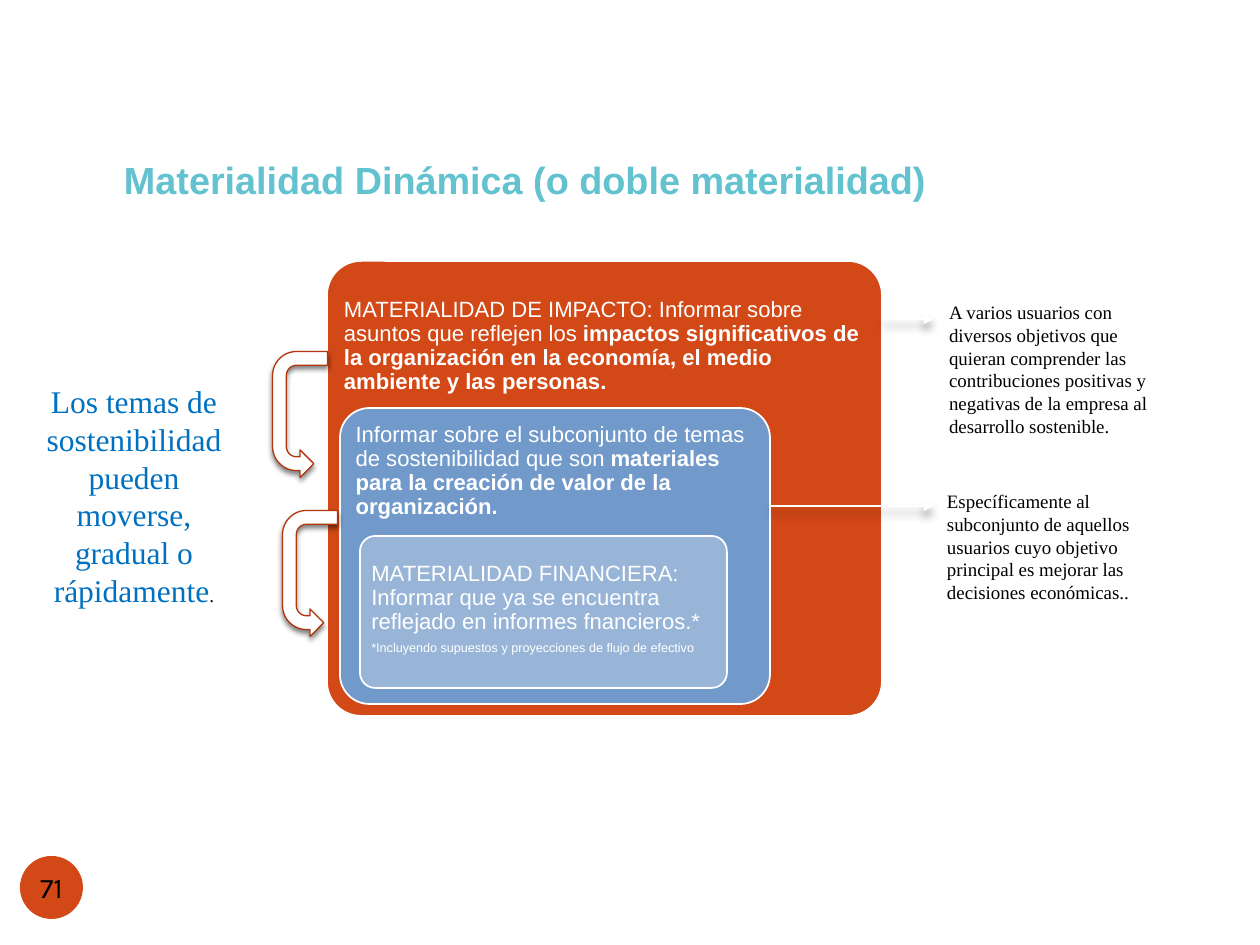
from dataclasses import dataclass

from lxml import etree
from pptx import Presentation
from pptx import util as u
from pptx.dml.color import RGBColor
from pptx.enum import shapes, text
from pptx.oxml import ns

PX = u.Inches(1) // 126


@dataclass(frozen=True)
class Theme:
    orange: str = "D34817"
    blue: str = "7199C9"
    light_blue: str = "98B5D8"
    white: str = "FFFFFF"
    black: str = "000000"
    arrow_line: str = "B1360B"
    title: str = "63C2D0"
    message: str = "0070C0"
    sans: str = "Arial"
    serif: str = "Times New Roman"
    number: str = "Karla"
    title_size: float = 21.6
    message_size: float = 18
    number_size: float = 16.2
    body_size: float = 12.6
    note_size: float = 10.8
    footnote_size: float = 7.2


THEME = Theme()


def px(*values):
    return [value * PX for value in values]


def style_font(font, name, size, color, bold=None):
    font.name, font.size, font.bold = name, u.Pt(size), bold
    font.color.rgb = RGBColor.from_string(color)


def style_shape(shape, fill, line=None, width=1.0):
    shape.shadow.inherit = False
    shape.fill.solid()
    shape.fill.fore_color.rgb = RGBColor.from_string(fill)
    if line:
        shape.line.color.rgb = RGBColor.from_string(line)
        shape.line.width = u.Pt(width)
    else:
        shape.line.fill.background()


def set_insets(frame, left, top, right, bottom):
    frame.margin_left, frame.margin_top, frame.margin_right, frame.margin_bottom = px(
        left, top, right, bottom)


def add_shadow(shape, opacity, blur, distance):
    """Give the shape a black shadow that falls straight down."""
    properties = shape._element.spPr
    for old in properties.findall(ns.qn("a:effectLst")):
        properties.remove(old)
    effects = etree.SubElement(properties, ns.qn("a:effectLst"))
    shadow = etree.SubElement(
        effects, ns.qn("a:outerShdw"), blurRad=str(u.Pt(blur)), dist=str(u.Pt(distance)),
        dir="5400000", rotWithShape="0")
    color = etree.SubElement(shadow, ns.qn("a:srgbClr"), val=THEME.black)
    etree.SubElement(color, ns.qn("a:alpha"), val=str(opacity * 1000))


def add_panel(slide, box, fill, radius, insets, paragraphs, anchor=text.MSO_ANCHOR.TOP):
    """Add a rounded panel; each paragraph is (size, plain text, bold text)."""
    shape = slide.shapes.add_shape(shapes.MSO_SHAPE.ROUNDED_RECTANGLE, *px(*box))
    shape.adjustments[0] = radius
    style_shape(shape, fill, THEME.white)
    frame = shape.text_frame
    frame.word_wrap, frame.vertical_anchor = True, anchor
    set_insets(frame, *insets)
    for index, (size, plain, bold) in enumerate(paragraphs):
        paragraph = frame.add_paragraph() if index else frame.paragraphs[0]
        paragraph.alignment = text.PP_ALIGN.LEFT
        paragraph.line_spacing = 0.9
        paragraph.space_after = u.Pt(0.35 * size)
        style_font(paragraph.font, THEME.sans, size, THEME.white)
        paragraph.add_run().text = plain
        if bold:
            run = paragraph.add_run()
            run.text, run.font.bold = bold, True


def add_text(slide, box, content, name, size, color, bold=None, top=6):
    """Add a wrapped text box and return its paragraph."""
    frame = slide.shapes.add_textbox(*px(*box)).text_frame
    frame.word_wrap = True
    set_insets(frame, 11, top, 11, 6)
    paragraph = frame.paragraphs[0]
    paragraph.add_run().text = content
    style_font(paragraph.font, name, size, color, bold)
    return paragraph


def add_return_arrow(slide, left, top):
    """Add a U-turn arrow that leaves to the left and comes back below."""
    shape = slide.shapes.add_shape(
        shapes.MSO_SHAPE.U_TURN_ARROW, *px(left, top, 126, 55))
    shape.rotation = 270
    shape._element.spPr.xfrm.set("flipH", "1")
    style_shape(shape, THEME.white, THEME.arrow_line, 0.75)
    add_shadow(shape, 50, 3, 2)


def add_pointer(slide, start, end, y):
    connector = slide.shapes.add_connector(
        shapes.MSO_CONNECTOR.STRAIGHT, *px(start, y, end, y))
    connector.line.color.rgb = RGBColor.from_string(THEME.white)
    connector.line.width = u.Pt(1)
    etree.SubElement(connector.line._get_or_add_ln(), ns.qn("a:tailEnd"), type="triangle")
    add_shadow(connector, 40, 5, 4)


def add_page_number(slide, number):
    shape = slide.shapes.add_shape(shapes.MSO_SHAPE.OVAL, *px(20, 856, 63, 63))
    style_shape(shape, THEME.orange)
    frame = shape.text_frame
    frame.word_wrap, frame.vertical_anchor = False, text.MSO_ANCHOR.MIDDLE
    set_insets(frame, 0, 0, 0, 0)
    paragraph = frame.paragraphs[0]
    paragraph.alignment = text.PP_ALIGN.CENTER
    paragraph.add_run().text = number
    style_font(paragraph.font, THEME.number, THEME.number_size, THEME.black)


def main():
    presentation = Presentation()
    presentation.slide_width, presentation.slide_height = px(1260, 945)
    slide = presentation.slides.add_slide(presentation.slide_layouts[6])

    # Nested panels, outermost first
    add_panel(slide, (327, 261, 555, 455), THEME.orange, 0.075, (7, 28, 7, 8), [
        (THEME.body_size,
         "MATERIALIDAD DE IMPACTO: Informar sobre asuntos que reflejen los ",
         "impactos significativos de la organización en la economía, "
         "el medio ambiente y las personas."),
    ])
    add_panel(slide, (340, 408, 430, 296), THEME.blue, 0.1, (7, 7, 7, 7), [
        (THEME.body_size,
         "Informar sobre el subconjunto de temas de sostenibilidad que son ",
         "materiales para la creación de valor de la organización."),
    ])
    add_panel(slide, (360, 536, 367, 152), THEME.light_blue, 0.1, (7, 7, 7, 13), [
        (THEME.body_size,
         "MATERIALIDAD FINANCIERA: Informar que ya se encuentra reflejado "
         "en informes fnancieros.*", None),
        (THEME.footnote_size,
         "*Incluyendo supuestos y proyecciones de flujo de efectivo", None),
    ], text.MSO_ANCHOR.MIDDLE)

    # Arrows from each panel to the one inside it
    add_return_arrow(slide, 247, 546)
    add_return_arrow(slide, 237, 387)

    # Audience notes on the right
    for left, top, height, note in (
        (938, 295, 150, "A varios usuarios con diversos objetivos que quieran comprender "
         "las contribuciones positivas y negativas de la empresa al desarrollo sostenible."),
        (936, 484, 127, "Específicamente al subconjunto de aquellos usuarios cuyo objetivo "
         "principal es mejorar las decisiones económicas.."),
    ):
        add_text(slide, (left, top, 234, height), note,
                 THEME.serif, THEME.note_size, THEME.black)

    # Message on the left
    message = add_text(
        slide, (23, 325, 222, 290),
        "Los temas de sostenibilidad pueden moverse, gradual o rápidamente",
        THEME.serif, THEME.message_size, THEME.message, top=57)
    message.alignment = text.PP_ALIGN.CENTER
    stop = message.add_run()
    stop.text = "."
    style_font(stop.font, THEME.serif, THEME.note_size, THEME.black)

    # Title
    add_text(slide, (113, 151, 859, 97), "Materialidad Dinámica (o doble materialidad)",
             THEME.sans, THEME.title_size, THEME.title, bold=True)

    # Pointers to the notes
    add_pointer(slide, 882, 934, 319)
    add_pointer(slide, 770, 934, 506)

    add_page_number(slide, "71")
    presentation.save("out.pptx")


if __name__ == "__main__":
    main()
